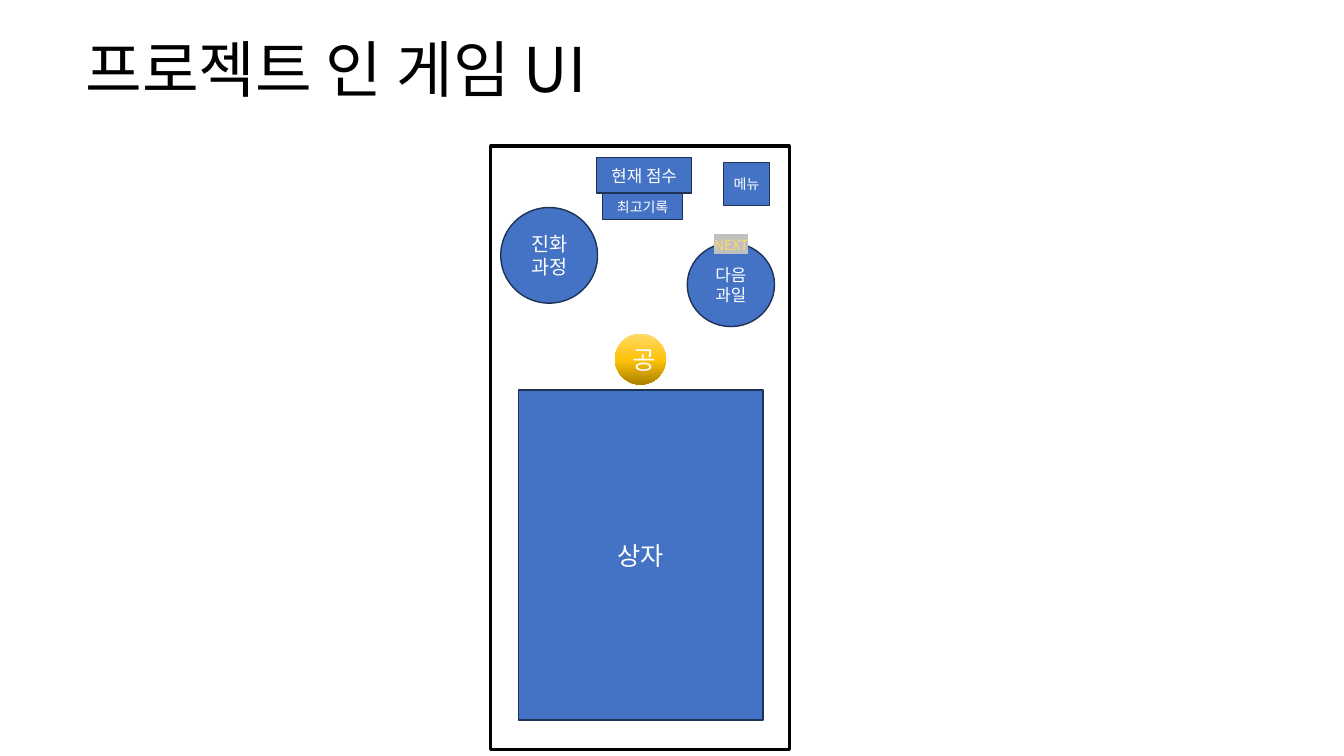
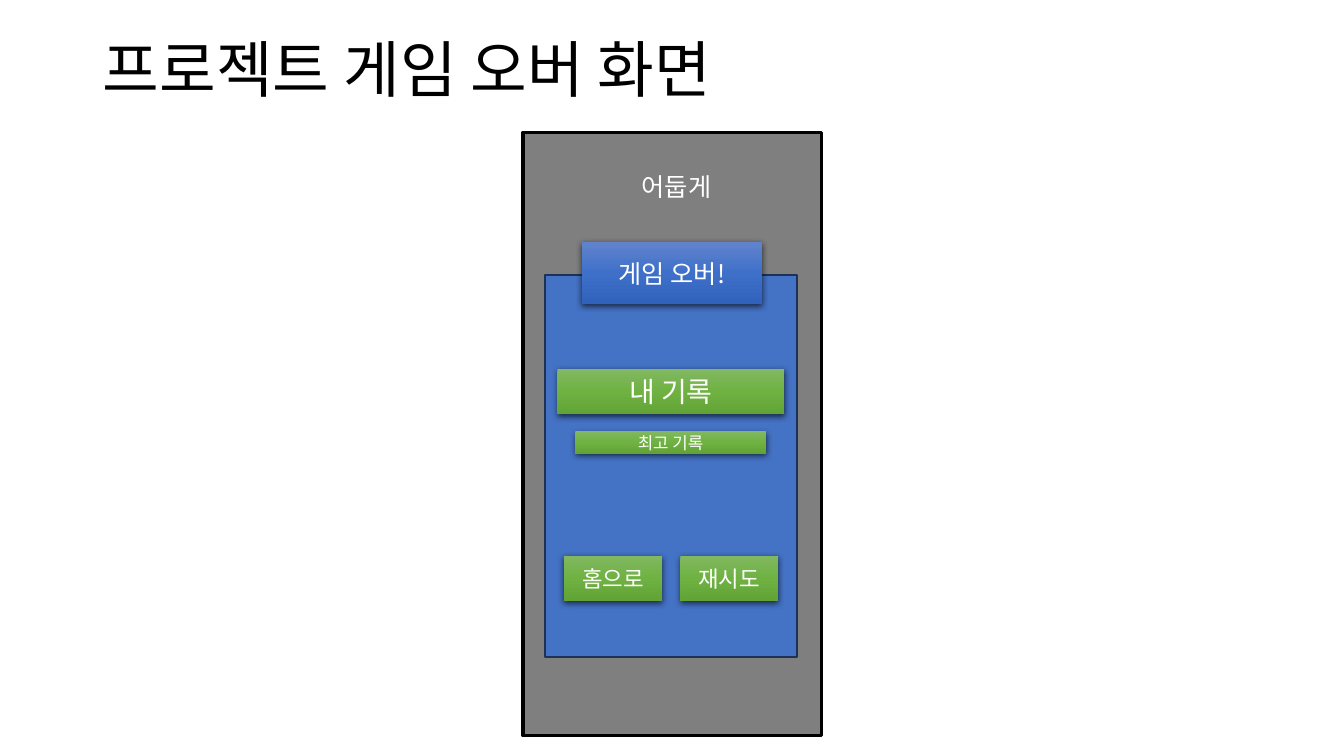
from dataclasses import dataclass

from lxml import etree
from pptx import Presentation
from pptx import util as u
from pptx.dml.color import RGBColor
from pptx.enum import shapes, text
from pptx.oxml import ns

RECT = shapes.MSO_SHAPE.RECTANGLE
OVAL = shapes.MSO_SHAPE.OVAL


@dataclass(frozen=True)
class Theme:
    """Colours, type sizes and line widths; a gradient lists (percent, colour) from the top."""
    font: str = "Noto Sans CJK KR"
    black: str = "000000"
    white: str = "FFFFFF"
    blue: str = "4472C4"
    navy: str = "1E3256"
    yellow: str = "FFD966"
    silver: str = "C0C0C0"
    gold: tuple = ((0, "FFD966"), (52, "FFC208"), (100, "AB8100"))
    glossy_blue: tuple = ((0, "6183CB"), (50, "3E70CA"), (100, "3062BB"))
    glossy_green: tuple = ((0, "81B861"), (50, "6FB242"), (100, "62A336"))
    title: int = 44
    big: int = 20
    normal: int = 18
    button: int = 16
    medium: int = 14
    small: int = 12
    tiny: int = 10
    thin: float = 1
    thick: float = 2.25


THEME = Theme()


def apply(target, values):
    for name, value in values.items():
        setattr(target, name, value)


def add_xml(parent, tag, **attributes):
    return etree.SubElement(parent, ns.qn(tag), attributes)


def cm(lengths):
    return [u.Cm(length) for length in lengths]


class Deck:
    def __init__(self, theme):
        self.theme = theme
        self.deck = Presentation()
        apply(self.deck, {"slide_width": u.Cm(33.87), "slide_height": u.Cm(19.05)})
        self.page = None

    def new_page(self, title, left):
        self.page = self.deck.slides.add_slide(self.deck.slide_layouts[5])
        box = self.page.shapes.title
        apply(box, dict(zip(("left", "top", "width", "height"), cm((left, 0, 29.21, 3.68)))))
        para = self.add_words(box, title, self.theme.title, self.theme.black)
        apply(para, {"alignment": text.PP_ALIGN.LEFT, "line_spacing": 0.9})

    def add_words(self, box, words, size, colour):
        """Put one centred line of words in the box and return its paragraph."""
        apply(box.text_frame, {"auto_size": text.MSO_AUTO_SIZE.NONE,
                               "vertical_anchor": text.MSO_ANCHOR.MIDDLE})
        para = box.text_frame.paragraphs[0]
        para.alignment = text.PP_ALIGN.CENTER
        span = para.add_run()
        span.text = words
        apply(span.font, {"size": u.Pt(size), "name": self.theme.font})
        span.font.color.rgb = RGBColor.from_string(colour)
        add_xml(span.font._element, "a:ea", typeface=self.theme.font)
        return para

    def shape(self, at, fill, kind=RECT, line=None, width=THEME.thin):
        box = self.page.shapes.add_shape(kind, *cm(at))
        box.shadow.inherit = False
        if isinstance(fill, tuple):
            self.gradient(box, fill)
        else:
            box.fill.solid()
            box.fill.fore_color.rgb = RGBColor.from_string(fill)
        if line:
            box.line.color.rgb = RGBColor.from_string(line)
            box.line.width = u.Pt(width)
        else:
            box.line.fill.background()
        return box

    def gradient(self, box, stops):
        box.fill.gradient()
        box.fill.gradient_angle = 270
        stop_list = box._element.spPr.find(".//" + ns.qn("a:gsLst"))
        for old in list(stop_list):
            stop_list.remove(old)
        for percent, colour in stops:
            stop = add_xml(stop_list, "a:gs", pos=str(percent * 1000))
            add_xml(stop, "a:srgbClr", val=colour)

    def phone(self, left, top, dimmed=False):
        at = (left, top, 7.52, 15.21)
        self.shape(at, self.theme.white, line=self.theme.black, width=self.theme.thick)
        if dimmed:
            veil = self.shape(at, self.theme.black)
            colour = veil._element.spPr.find(".//" + ns.qn("a:srgbClr"))
            add_xml(colour, "a:alpha", val="50000")

    def flat(self, at, words="", size=THEME.normal, kind=RECT):
        """Add a plain blue part with a navy outline."""
        box = self.shape(at, self.theme.blue, kind, self.theme.navy)
        if words:
            self.add_words(box, words, size, self.theme.white)

    def ball(self, at, words):
        box = self.shape(at, self.theme.gold, OVAL)
        self.add_words(box, words, self.theme.normal, self.theme.white)

    def raised(self, at, words, size, fill=THEME.glossy_green):
        """Add a glossy button with a soft shadow below it."""
        box = self.shape(at, fill)
        effects = box._element.spPr.find(ns.qn("a:effectLst"))
        shadow = add_xml(effects, "a:outerShdw", blurRad=str(u.Pt(4.5)), dist=str(u.Pt(1.5)),
                         dir="5400000", algn="ctr", rotWithShape="0")
        colour = add_xml(shadow, "a:srgbClr", val=self.theme.black)
        add_xml(colour, "a:alpha", val="63000")
        self.add_words(box, words, size, self.theme.white)

    def label(self, at, words, size, colour, highlight=None):
        box = self.page.shapes.add_textbox(*cm(at))
        para = self.add_words(box, words, size, colour)
        if highlight:
            fill = para.runs[0].font._element.find(ns.qn("a:solidFill"))
            marker = etree.Element(ns.qn("a:highlight"))
            add_xml(marker, "a:srgbClr", val=highlight)
            fill.addnext(marker)


def game_page(deck):
    theme = deck.theme
    deck.new_page("프로젝트 인 게임 UI", 1.9)
    deck.phone(12.37, 3.68)
    deck.flat((13.06, 9.83, 6.17, 8.31), "상자")
    deck.ball((15.5, 8.41, 1.28, 1.28), "공")
    for at, words, size, kind in (
        ((15.04, 3.97, 2.39, 0.9), "현재 점수", theme.small, RECT),
        ((15.19, 4.88, 2.01, 0.66), "최고기록", theme.tiny, RECT),
        ((12.62, 5.23, 2.44, 2.41), "진화 과정", theme.medium, OVAL),
        ((18.23, 4.09, 1.17, 1.09), "메뉴", theme.tiny, RECT),
        ((17.32, 6.12, 2.2, 2.11), "다음 과일", theme.small, OVAL),
    ):
        deck.flat(at, words, size, kind)
    deck.label((17.73, 5.84, 1.4, 0.64), "NEXT", theme.tiny, theme.yellow, theme.silver)


def game_over_page(deck):
    theme = deck.theme
    deck.new_page("프로젝트 게임 오버 화면", 2.34)
    deck.phone(13.18, 3.33, dimmed=True)
    deck.flat((13.74, 6.93, 6.35, 9.63))
    deck.raised((14.66, 6.1, 4.55, 1.57), "게임 오버!", theme.normal, theme.glossy_blue)
    deck.raised((14.05, 9.3, 5.72, 1.14), "내 기록", theme.big)
    deck.raised((14.5, 10.87, 4.8, 0.56), "최고 기록", theme.small)
    for column, words in enumerate(("홈으로", "재시도")):
        deck.raised((14.22 + column * 2.93, 14, 2.46, 1.14), words, theme.button)
    deck.label((14.94, 3.89, 4.22, 1.63), "어둡게", theme.normal, theme.white)


def main():
    deck = Deck(THEME)
    game_page(deck)
    game_over_page(deck)
    deck.deck.save("out.pptx")


if __name__ == "__main__":
    main()
